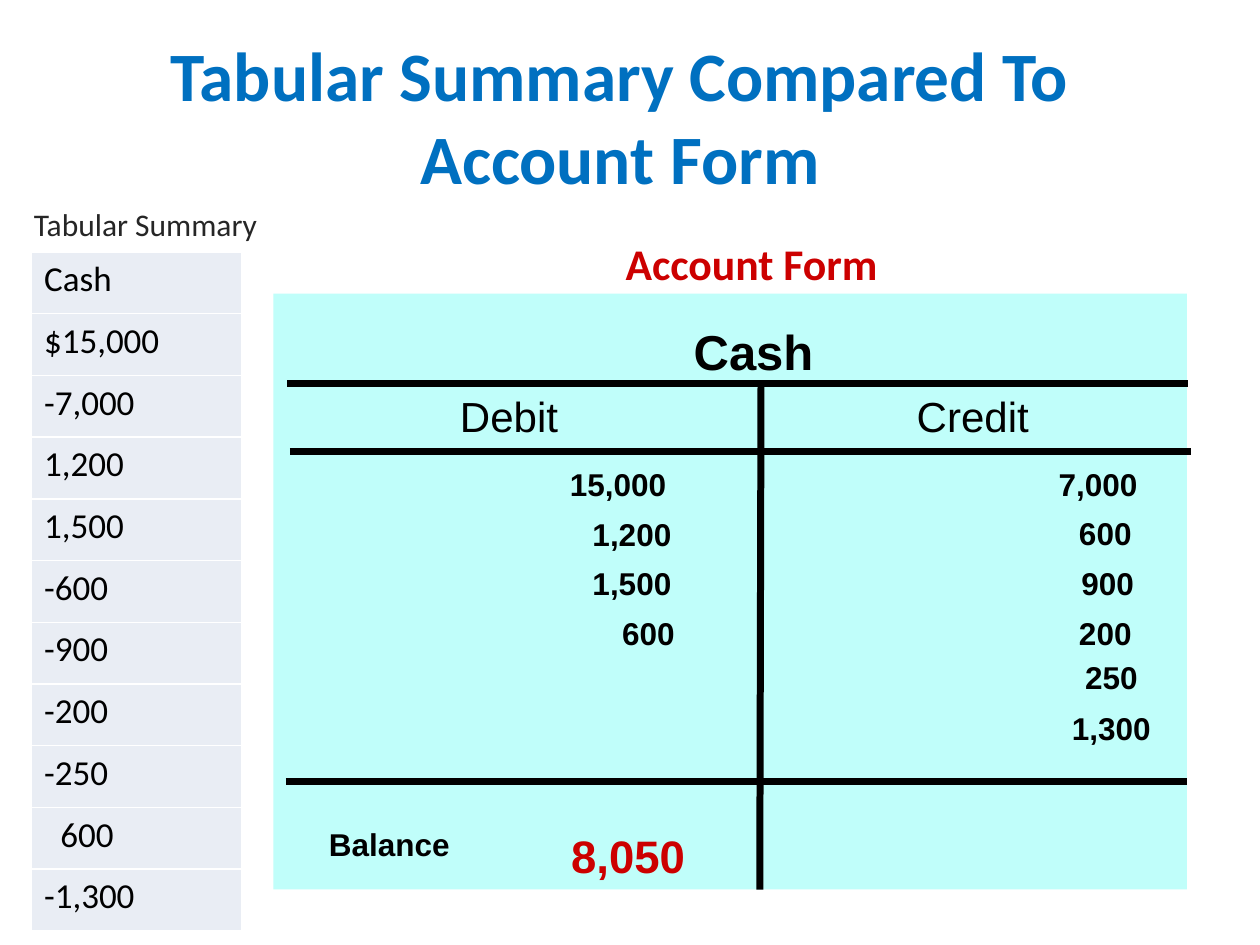
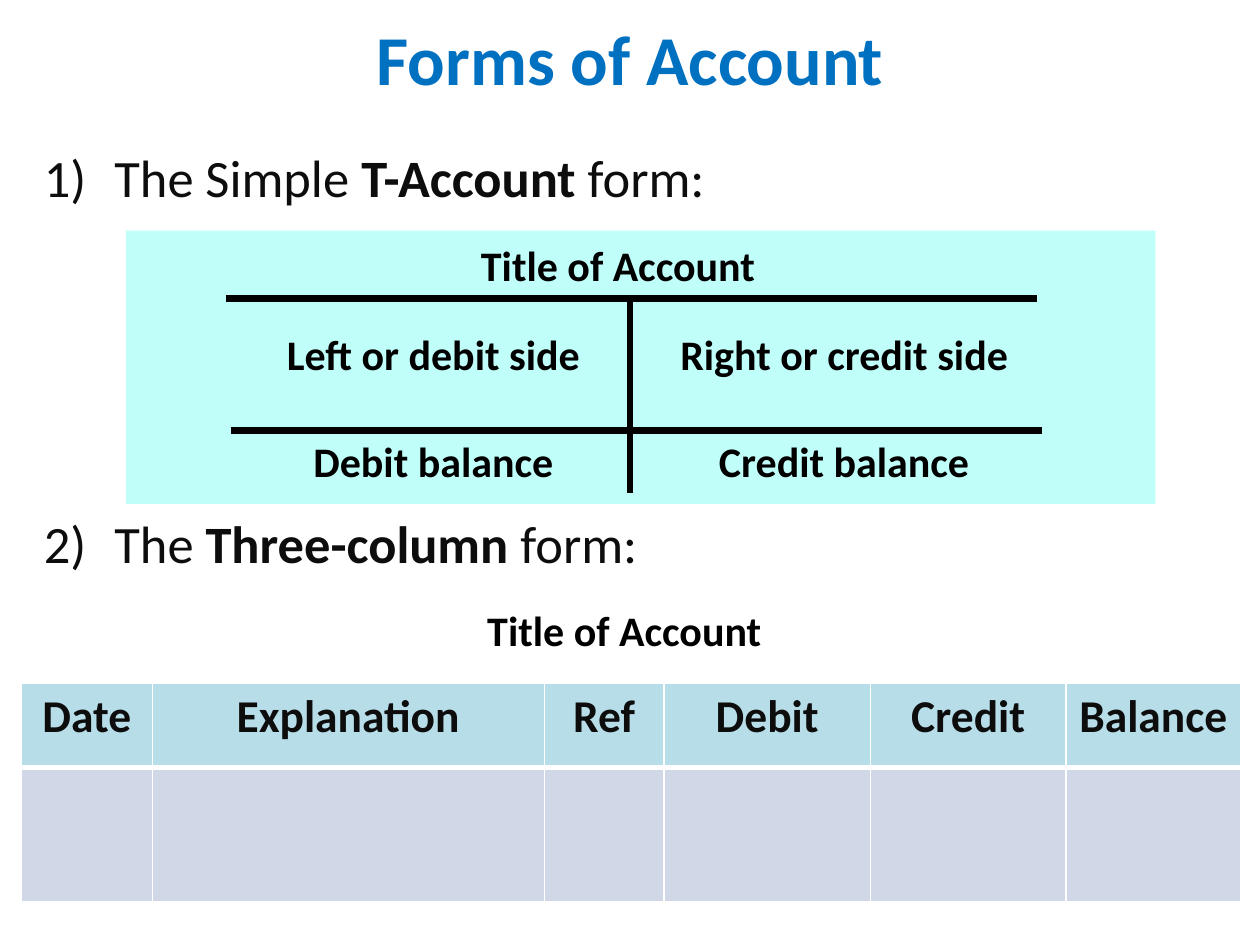
from lxml.etree import SubElement
from pptx import Presentation
from pptx.dml.color import RGBColor
from pptx.enum.shapes import MSO_CONNECTOR as CONN, MSO_SHAPE as SHAPE
from pptx.enum.text import MSO_ANCHOR as ANCHOR, PP_ALIGN as ALIGN
from pptx.oxml.ns import qn
from pptx.util import Inches, Pt

BLUE = RGBColor(0x00, 0x70, 0xC0)
RED = RGBColor(0xCC, 0x00, 0x00)
BLACK = RGBColor(0x00, 0x00, 0x00)
WHITE = RGBColor(0xFF, 0xFF, 0xFF)
INK = RGBColor(0x0D, 0x0D, 0x0D)
GRAY = RGBColor(0x26, 0x26, 0x26)
AQUA = RGBColor(0xC0, 0xFE, 0xFA)
PALE = RGBColor(0xE9, 0xED, 0xF4)
HEAD = RGBColor(0xB7, 0xDE, 0xE8)
BODY = RGBColor(0xD0, 0xD8, 0xE8)


class Deck:
    heading = dict(name="Calibri", size=24, bold=True, color=BLACK)
    entry = dict(name="Arial", size=18, bold=True, color=BLACK)

    def __init__(self):
        self.prs = Presentation()
        self.prs.slide_width, self.prs.slide_height = Inches(10), Inches(7.5)
        self.s = None

    def slide(self):
        self.s = self.prs.slides.add_slide(self.prs.slide_layouts[6])

    def style(self, font, fmt):
        for key, value in fmt.items():
            if key == "color":
                font.color.rgb = value
            else:
                setattr(font, key, Pt(value) if key == "size" else value)

    def text(self, box, words, fmt, align=ALIGN.CENTER, wrap=True, pad=0.11):
        sp = self.s.shapes.add_textbox(*map(Inches, box))
        tf = sp.text_frame
        tf.word_wrap = wrap
        tf.margin_left = tf.margin_right = Inches(pad)
        p = tf.paragraphs[0]
        p.alignment = align
        r = p.add_run()
        r.text = words
        self.style(r.font, fmt)
        return tf

    def title(self, box, words, size=40):
        fmt = dict(name="Calibri", size=size, bold=True, color=BLUE)
        self.text(box, words, fmt, pad=0.1).vertical_anchor = ANCHOR.MIDDLE

    def numbered(self, number, y, *parts):
        fmt = dict(name="Calibri", size=30, color=INK)
        tf = self.text((0.25, y, 9.5, 0.65), parts[0], fmt, ALIGN.LEFT, pad=0.1)
        p = tf.paragraphs[0]
        pPr = p._p.get_or_add_pPr()
        pPr.set("marL", str(Inches(0.56)))
        pPr.set("indent", str(-Inches(0.56)))
        SubElement(pPr, qn("a:buAutoNum"), type="arabicParenR", startAt=str(number))
        for i, words in enumerate(parts[1:]):
            r = p.add_run()
            r.text = words
            self.style(r.font, dict(fmt, bold=i == 0))

    def panel(self, *box):
        sp = self.s.shapes.add_shape(SHAPE.RECTANGLE, *map(Inches, box))
        sp.shadow.inherit = False
        sp.fill.solid()
        sp.fill.fore_color.rgb = AQUA
        sp.line.fill.background()

    def line(self, *ends):
        c = self.s.shapes.add_connector(CONN.STRAIGHT, *map(Inches, ends))
        c.line.color.rgb = BLACK
        c.line.width = Pt(4)
        SubElement(c._element.spPr, qn("a:effectLst"))

    def border(self, cell, **widths):
        tcPr = cell._tc.get_or_add_tcPr()
        for i, (side, width) in enumerate(widths.items()):
            ln = SubElement(tcPr, qn("a:ln" + side), w=str(Pt(width)))
            fill = SubElement(ln, qn("a:solidFill"))
            SubElement(fill, qn("a:srgbClr"), val=str(WHITE))
            tcPr.remove(ln)
            tcPr.insert(i, ln)

    def table(self, x, y, cols, heights, rows, fills, fmt, align, rule=1):
        size = Inches(sum(cols)), Inches(sum(heights))
        t = self.s.shapes.add_table(len(rows), len(cols), Inches(x), Inches(y), *size).table
        t.first_row = t.horz_banding = False
        for col, width in zip(t.columns, cols):
            col.width = Inches(width)
        for i, (words, height, fill) in enumerate(zip(rows, heights, fills)):
            t.rows[i].height = Inches(height)
            for j, word in enumerate(words):
                cell = t.cell(i, j)
                cell.fill.solid()
                cell.fill.fore_color.rgb = fill
                self.border(cell, L=1, R=1, T=rule if i == 1 else 1, B=rule if i == 0 else 1)
                p = cell.text_frame.paragraphs[0]
                p.alignment = align
                if word:
                    r = p.add_run()
                    r.text = word
                    self.style(r.font, fmt)
        return t


def comparison(d):
    d.slide()
    d.title((0.67, 0.33, 8.5, 1.17), "Tabular Summary Compared To Account Form", 39.6)
    d.text((0.17, 1.58, 2.42, 0.4), "Tabular Summary",
           dict(name="Calibri", size=18, color=GRAY), ALIGN.LEFT, pad=0.1)
    amounts = ["Cash", "$15,000", "-7,000", "1,200", "1,500", "-600",
               "-900", "-200", "-250", "600", "-1,300"]
    n = len(amounts)
    t = d.table(0.25, 2, [1.67], [0.49] * n, [[a] for a in amounts], [PALE] * n,
                dict(name="Calibri", size=20, color=BLACK), ALIGN.LEFT)
    t.cell(amounts.index("600"), 0).margin_left = Inches(0.23)

    d.panel(2.17, 2.33, 7.25, 4.73)
    d.text((4.41, 1.83, 3.11, 0.5), "Account Form",
           dict(name="Calibri", size=25, bold=True, color=RED), pad=0.1)
    d.text((5.39, 2.5, 1.18, 0.58), "Cash", dict(d.entry, size=28), wrap=False)
    for x, side in ((3.33, "Debit"), (7.01, "Credit")):
        d.text((x, 3.05, 1.42, 0.52), side, dict(d.entry, size=24, bold=False))
    for x, y in ((2.28, 3.04), (2.3, 3.58), (2.27, 6.2)):
        d.line(x, y, x + 7.15, y)
    d.line(6.04, 3.04, 6.03, 7.06)

    debits = (4.21, "15,000"), (4.32, "1,200"), (4.32, "1,500"), (4.45, "600")
    for i, (x, amount) in enumerate(debits):
        d.text((x, 3.64 + 0.395 * i, 1.39, 0.41), amount, d.entry)
    credits = ((8.02, 3.64, 1.39, "7,000"), (8.25, 4.43, 1.08, "900"),
               (8.25, 5.17, 1.14, "250"), (8.25, 5.58, 1.14, "1,300"))
    for x, y, w, amount in credits:
        d.text((x, y, w, 0.41), amount, d.entry)
    for y, amount in ((4.03, "600"), (4.82, "200")):
        d.text((7.88, y, 1.21, 0.41), amount, d.entry, ALIGN.RIGHT)
    d.text((2.5, 6.5, 1.68, 0.41), "Balance", d.entry, ALIGN.LEFT)
    d.text((4.31, 6.52, 1.35, 0.52), "8,050", dict(d.entry, size=26, color=RED))


def forms(d):
    d.slide()
    d.title((0.75, 0, 8.5, 0.92), "Forms of Account")
    d.numbered(1, 1.1, "The Simple ", "T-Account", " form:")
    d.numbered(2, 4.01, "The ", "Three-column", " form:")

    d.panel(1, 1.83, 8.17, 2.17)
    for x, y in ((3.7, 1.85), (3.75, 4.75)):
        d.text((x, y, 2.41, 0.44), "Title of Account", d.heading, wrap=False)
    for x, y in ((1.79, 2.37), (1.83, 3.42)):
        d.line(x, y, x + 6.44, y)
    d.line(5, 2.39, 5, 3.91)
    labels = ((2.02, 2.56, 2.84, "Left or debit side"), (5.14, 2.56, 3.12, "Right or credit side"),
              (2.02, 3.41, 2.84, "Debit balance"), (5.28, 3.41, 2.84, "Credit balance"))
    for x, y, w, words in labels:
        d.text((x, y, w, 0.44), words, d.heading)

    heads = ["Date", "Explanation", "Ref", "Debit", "Credit", "Balance"]
    d.table(0.17, 5.42, [1.04, 3.11, 0.95, 1.64, 1.55, 1.39], [0.67, 1.07],
            [heads, [""] * len(heads)], [HEAD, BODY],
            dict(d.heading, size=26, color=INK), ALIGN.CENTER, rule=3)


def main():
    d = Deck()
    comparison(d)
    forms(d)
    d.prs.save("out.pptx")


if __name__ == "__main__":
    main()
